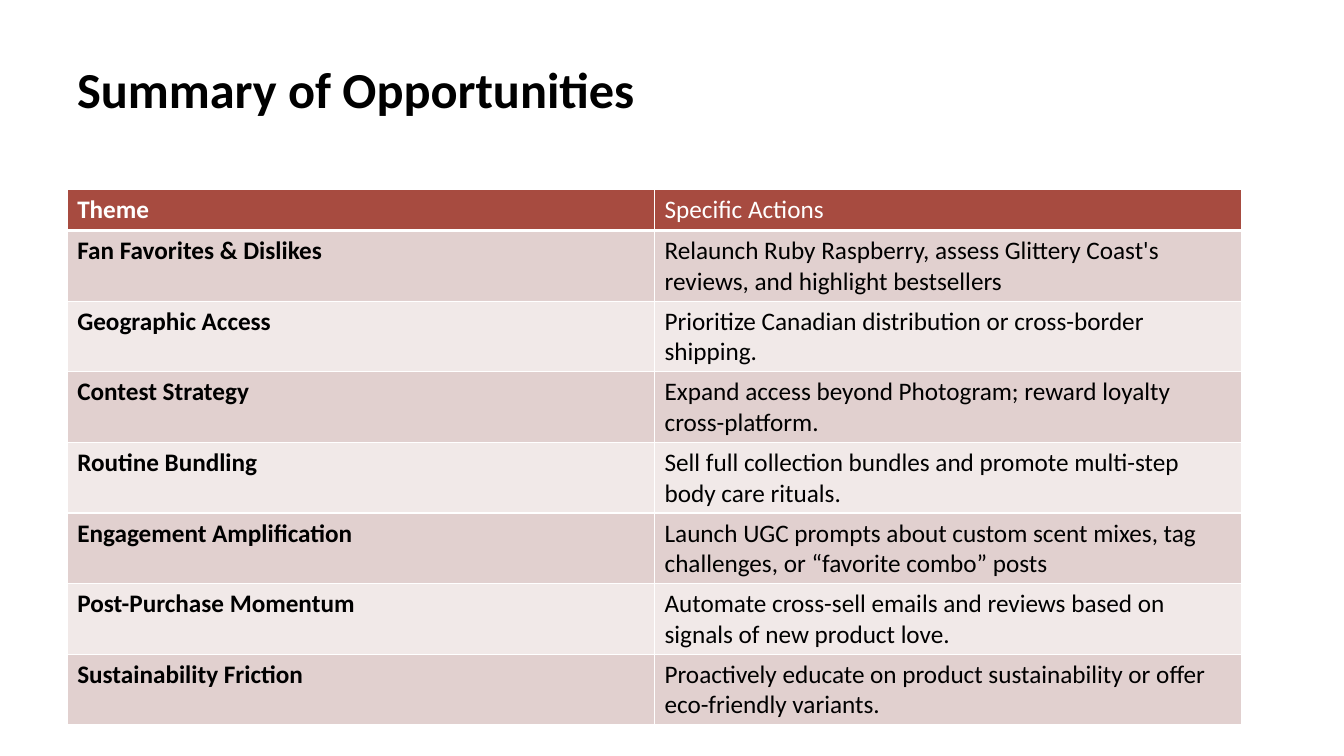
from lxml.etree import SubElement
from pptx import Presentation
from pptx.dml.color import RGBColor as Color
from pptx.enum.text import MSO_ANCHOR as Anchor
from pptx.oxml.ns import qn
from pptx.util import Inches, Pt

COLORS = {
    "text": "000000",
    "light": "FFFFFF",
    "header": "A74B40",
    "band": "E1D0CF",
    "pale": "F1E9E8",
}
LEFT, WIDTH = 0.05, 0.874
ROW_HEIGHT = 0.055
OPPORTUNITIES = [
    ("Theme", "Specific Actions"),
    ("Fan Favorites & Dislikes",
     "Relaunch Ruby Raspberry, assess Glittery Coast's reviews, and highlight bestsellers"),
    ("Geographic Access",
     "Prioritize Canadian distribution or cross-border shipping."),
    ("Contest Strategy",
     "Expand access beyond Photogram; reward loyalty cross-platform."),
    ("Routine Bundling",
     "Sell full collection bundles and promote multi-step body care rituals."),
    ("Engagement Amplification",
     "Launch UGC prompts about custom scent mixes, tag challenges, or “favorite combo” posts"),
    ("Post-Purchase Momentum",
     "Automate cross-sell emails and reviews based on signals of new product love."),
    ("Sustainability Friction",
     "Proactively educate on product sustainability or offer eco-friendly variants."),
]


def write(frame, text, size=18, color="text", bold=False, spacing=None):
    para = frame.paragraphs[0]
    para.line_spacing = spacing
    span = para.add_run()
    span.text = text
    span.font.name = "Calibri"
    span.font.size = Pt(size)
    span.font.bold = bold
    span.font.color.rgb = Color.from_string(COLORS[color])


def set_borders(cell, **widths):
    properties = cell._tc.get_or_add_tcPr()
    for position, (side, width) in enumerate(widths.items()):
        line = properties.makeelement(qn(f"a:ln{side}"), {"w": str(Pt(width))})
        fill = SubElement(line, qn("a:solidFill"))
        SubElement(fill, qn("a:srgbClr"), val=COLORS["light"])
        properties.insert(position, line)


class Page:
    """Draw styled elements on one slide, placed by shares of its size."""

    def __init__(self, deck):
        self.deck = deck
        self.slide = deck.slides.add_slide(deck.slide_layouts[6])

    def across(self, share):
        return round(self.deck.slide_width * share)

    def down(self, share):
        return round(self.deck.slide_height * share)

    def area(self, left, top, width, height):
        return (self.across(left), self.down(top),
                self.across(width), self.down(height))

    def title(self, text, *area):
        box = self.slide.shapes.add_textbox(*self.area(*area))
        box.text_frame.word_wrap = True
        box.text_frame.vertical_anchor = Anchor.TOP
        write(box.text_frame, text, size=36, bold=True, spacing=0.9)

    def table(self, rows, *area):
        box = self.slide.shapes.add_table(
            len(rows), len(rows[0]), *self.area(*area))
        for row_index, texts in enumerate(rows):
            box.table.rows[row_index].height = self.down(ROW_HEIGHT)
            is_header = row_index == 0
            fill = "header" if is_header else ("pale", "band")[row_index % 2]
            for column_index, text in enumerate(texts):
                cell = box.table.cell(row_index, column_index)
                cell.fill.solid()
                cell.fill.fore_color.rgb = Color.from_string(COLORS[fill])
                set_borders(cell, L=1, R=1, T=3 if row_index == 1 else 1,
                            B=3 if is_header else 1)
                write(cell.text_frame, text, bold=column_index == 0,
                      color="light" if is_header else "text")
        box.height = self.down(area[3])


def main():
    deck = Presentation()
    deck.slide_width, deck.slide_height = Inches(13.33), Inches(7.5)
    page = Page(deck)
    page.title("Summary of Opportunities", LEFT, 0.08, WIDTH, 0.11)
    page.table(OPPORTUNITIES, LEFT, 0.25, WIDTH, 0.71)
    deck.save("out.pptx")


if __name__ == "__main__":
    main()
